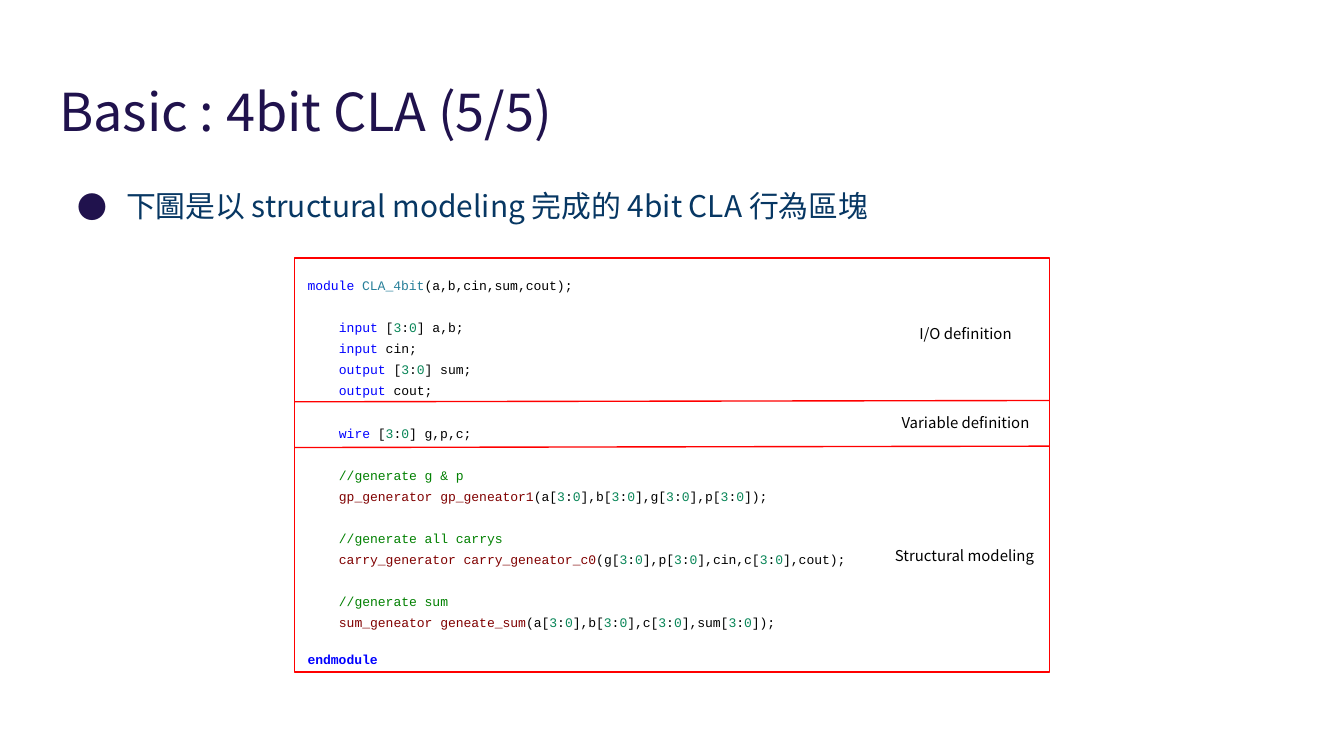
from itertools import groupby

from lxml.etree import SubElement
from pptx import Presentation
from pptx.dml.color import RGBColor
from pptx.enum.shapes import MSO_CONNECTOR, MSO_SHAPE
from pptx.enum.text import MSO_ANCHOR, PP_ALIGN
from pptx.oxml.ns import qn
from pptx.util import Inches, Pt

TITLE_COLOR = RGBColor(0x20, 0x12, 0x4D)
BODY_COLOR = RGBColor(0x07, 0x37, 0x63)
RED = RGBColor(0xFF, 0x00, 0x00)
BLACK = RGBColor(0x00, 0x00, 0x00)
KEYWORD_COLOR = RGBColor(0x00, 0x00, 0xFF)
MODULE_COLOR = RGBColor(0x26, 0x7F, 0x99)
NUMBER_COLOR = RGBColor(0x09, 0x86, 0x58)
COMMENT_COLOR = RGBColor(0x00, 0x80, 0x00)
INSTANCE_COLOR = RGBColor(0x80, 0x00, 0x00)

TEXT_FONT = "Noto Sans CJK TC"
CODE_FONT = "Courier New"
CODE_SIZE = 7
CODE_BLOCK_GAP = 11.1
CODE_INDENT = 4 * 0.6 * CODE_SIZE
KEYWORDS = {"module", "endmodule", "input", "output", "wire"}

CODE_BLOCKS = [
    ["module CLA_4bit(a,b,cin,sum,cout);"],
    ["input [3:0] a,b;", "input cin;", "output [3:0] sum;", "output cout;"],
    ["wire [3:0] g,p,c;"],
    ["//generate g & p",
     "gp_generator gp_geneator1(a[3:0],b[3:0],g[3:0],p[3:0]);"],
    ["//generate all carrys",
     "carry_generator carry_geneator_c0(g[3:0],p[3:0],cin,c[3:0],cout);"],
    ["//generate sum",
     "sum_geneator geneate_sum(a[3:0],b[3:0],c[3:0],sum[3:0]);"],
    ["endmodule"],
]
SECTION_LABELS = [
    ("I/O definition", 0.43, PP_ALIGN.CENTER),
    ("Variable definition", 1.09, PP_ALIGN.CENTER),
    ("Structural modeling", 2.08, PP_ALIGN.LEFT),
]


def add_text(paragraph, text, size=8, color=BLACK, font=TEXT_FONT, bold=False):
    """Append a formatted run to the paragraph."""
    run = paragraph.add_run()
    run.text = text
    run.font.size = Pt(size)
    run.font.color.rgb = color
    run.font.name = font
    run.font.bold = bold
    SubElement(run._r.get_or_add_rPr(), qn("a:ea"), typeface=font)


def prepare_frame(shape):
    """Give the shape a wrapping, top-anchored text frame with even insets."""
    frame = shape.text_frame
    frame.word_wrap = True
    frame.vertical_anchor = MSO_ANCHOR.TOP
    frame.margin_left = frame.margin_right = Inches(0.1)
    frame.margin_top = frame.margin_bottom = Inches(0.1)
    return frame


def set_indent(paragraph, left, first=0):
    """Set the left margin and first line indent of the paragraph."""
    properties = paragraph._p.get_or_add_pPr()
    properties.set("marL", str(int(left)))
    properties.set("indent", str(int(first)))
    return properties


def place_title(slide, left, top, width, height):
    """Move and fill the title placeholder."""
    title = slide.shapes.title
    title.left, title.top = Inches(left), Inches(top)
    title.width, title.height = Inches(width), Inches(height)
    paragraph = prepare_frame(title).paragraphs[0]
    paragraph.alignment = PP_ALIGN.LEFT
    add_text(paragraph, "Basic : 4bit CLA (5/5)", size=28, color=TITLE_COLOR)


def add_bullet(slide, left, top, width, height):
    """Add the bulleted statement."""
    box = slide.shapes.add_textbox(Inches(left), Inches(top), Inches(width), Inches(height))
    paragraph = prepare_frame(box).paragraphs[0]
    properties = set_indent(paragraph, Inches(0.5), Inches(-0.36))
    bullet_color = SubElement(properties, qn("a:buClr"))
    SubElement(bullet_color, qn("a:srgbClr"), val=str(TITLE_COLOR))
    SubElement(properties, qn("a:buFont"), typeface=TEXT_FONT)
    SubElement(properties, qn("a:buChar"), char="●")
    paragraph.line_spacing = 1.15
    add_text(paragraph, "下圖是以 structural modeling 完成的 4bit CLA 行為區塊",
             size=16, color=BODY_COLOR)


def token_color(token):
    """Return the syntax colour of a code token."""
    if token in KEYWORDS:
        return KEYWORD_COLOR
    if token == "CLA_4bit":
        return MODULE_COLOR
    if token.isdigit():
        return NUMBER_COLOR
    return INSTANCE_COLOR if "_" in token else BLACK


def add_code_line(paragraph, line):
    """Write one syntax-coloured line of code."""
    style = {"size": CODE_SIZE, "font": CODE_FONT}
    if line.startswith("//"):
        add_text(paragraph, line, color=COMMENT_COLOR, **style)
        return
    for _, characters in groupby(line, lambda c: c.isalnum() or c == "_"):
        token = "".join(characters)
        add_text(paragraph, token, color=token_color(token),
                 bold=token == "endmodule", **style)


def add_code(frame):
    """Write the code blocks, set apart by paragraph spacing."""
    paragraph = None
    for block in CODE_BLOCKS:
        for position, line in enumerate(block):
            is_first = paragraph is None
            paragraph = frame.paragraphs[0] if is_first else frame.add_paragraph()
            paragraph.alignment = PP_ALIGN.LEFT
            paragraph.line_spacing = 1 if line == "endmodule" else 1.36
            if position == 0 and not is_first:
                paragraph.space_before = Pt(CODE_BLOCK_GAP)
            if "module" not in line:
                set_indent(paragraph, Pt(CODE_INDENT))
            add_code_line(paragraph, line)


def add_divider(slide, left, top, width, rise):
    """Add a red line that climbs by the given rise from left to right."""
    line = slide.shapes.add_connector(MSO_CONNECTOR.STRAIGHT, Inches(left), Inches(top),
                                      Inches(left + width), Inches(top - rise))
    line.line.color.rgb = RED
    line.line.width = Pt(0.75)
    SubElement(line._element.spPr, qn("a:effectLst"))


def add_code_panel(slide, left, top, width, height):
    """Add the framed code with its dividers and section labels."""
    panel = slide.shapes.add_shape(MSO_SHAPE.RECTANGLE, Inches(left), Inches(top),
                                   Inches(width), Inches(height))
    panel.shadow.inherit = False
    panel.fill.background()
    panel.line.color.rgb = RED
    panel.line.width = Pt(0.75)
    add_code(prepare_frame(panel))
    for offset in (1.07, 1.41):
        add_divider(slide, left, top + offset, width, rise=0.01)
    label_width = 1.25
    for text, offset, alignment in SECTION_LABELS:
        label = slide.shapes.add_textbox(Inches(left + width - label_width),
                                         Inches(top + offset),
                                         Inches(label_width), Inches(0.3))
        paragraph = prepare_frame(label).paragraphs[0]
        paragraph.alignment = alignment
        add_text(paragraph, text)


def main():
    """Build and save the presentation."""
    presentation = Presentation()
    presentation.slide_width = Inches(10)
    presentation.slide_height = presentation.slide_width * 9 // 16
    slide = presentation.slides.add_slide(presentation.slide_layouts[5])
    place_title(slide, 0.34, 0.49, 9.32, 0.63)
    add_bullet(slide, 0.34, 1.26, 9.32, 3.74)
    add_code_panel(slide, 2.19, 1.92, 5.62, 3.08)
    presentation.save("out.pptx")


if __name__ == "__main__":
    main()
